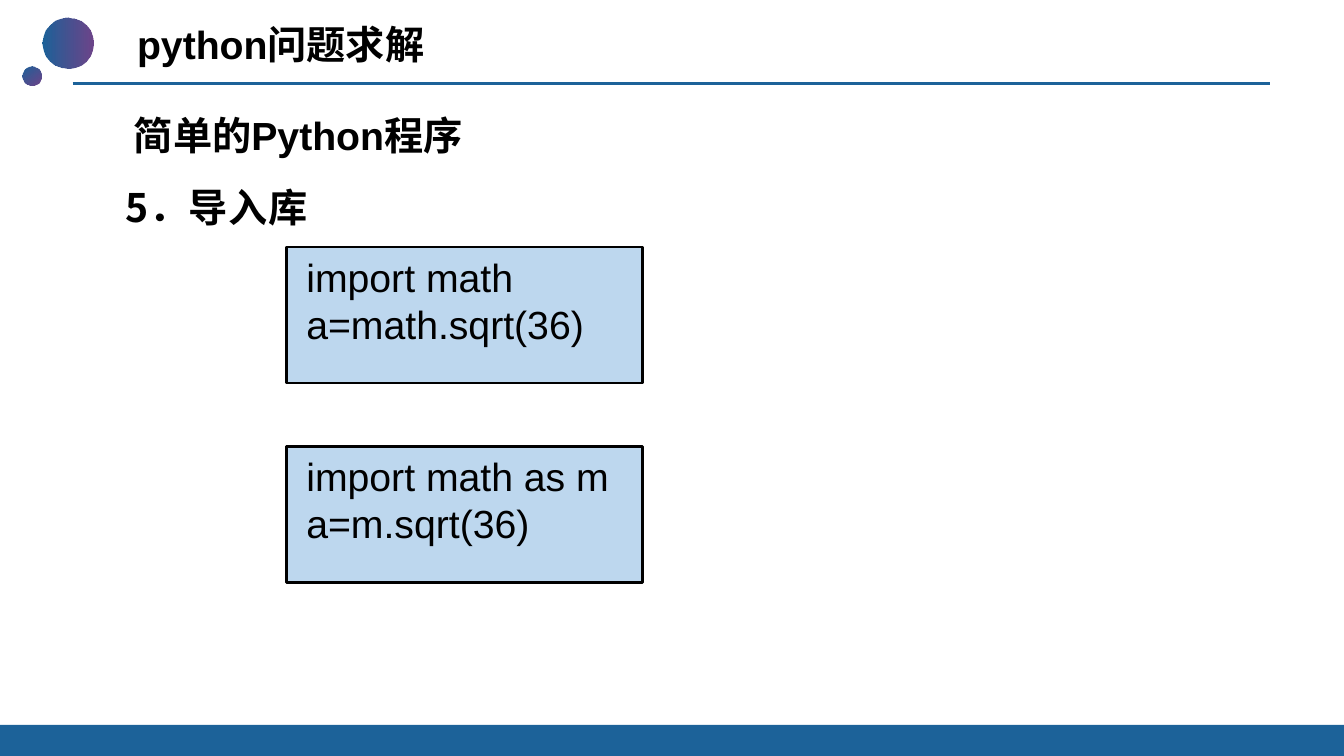
from lxml import etree
from pptx import Presentation
from pptx.dml.color import RGBColor
from pptx.enum.shapes import MSO_CONNECTOR, MSO_SHAPE
from pptx.enum.text import MSO_ANCHOR, PP_ALIGN
from pptx.oxml.ns import qn
from pptx.util import Inches, Pt

STRAIGHT = MSO_CONNECTOR.STRAIGHT
OVAL, RECTANGLE = MSO_SHAPE.OVAL, MSO_SHAPE.RECTANGLE
TOP, BOTTOM = MSO_ANCHOR.TOP, MSO_ANCHOR.BOTTOM
LEFT = PP_ALIGN.LEFT

SLIDE_W, SLIDE_H = 13.33, 7.5
LATIN, CHINESE = "Arial", "Noto Sans CJK SC"
TEXT_SIZE = 28
COLORS = {"blue": "1C6299", "purple": "5C307D", "pale": "BDD7EE", "black": "000000"}

# Code panels: one column, evenly spaced rows
PANEL_LEFT, PANEL_TOP, PANEL_PITCH = 2.84, 2.45, 1.98
PANEL_W, PANEL_H = 3.53, 1.35
SNIPPETS = [
    ["import math", "a=math.sqrt(36)"],
    ["import math as m", "a=m.sqrt(36)"],
]


def color(name):
    return RGBColor.from_string(COLORS[name])


def box(*lengths):
    return [Inches(length) for length in lengths]


def add_block(shapes, kind, place, fill=None, outline=None):
    block = shapes.add_shape(kind, *box(*place))
    block.shadow.inherit = False
    if fill:
        block.fill.solid()
        block.fill.fore_color.rgb = color(fill)
    if outline:
        block.line.color.rgb = color(outline)
        block.line.width = Pt(2)
    else:
        block.line.fill.background()
    return block


def add_bubble(shapes, left, top, size, angle):
    bubble = add_block(shapes, OVAL, (left, top, size, size))
    bubble.fill.gradient()
    bubble.fill.gradient_angle = (360 - angle) % 360
    start, end = bubble.fill.gradient_stops
    start.color.rgb, end.color.rgb = color("blue"), color("purple")
    start.position, end.position = 0, 1
    # Slightly transparent purple end
    for purple in bubble._element.spPr.findall(".//" + qn("a:srgbClr"))[-1:]:
        etree.SubElement(purple, qn("a:alpha"), val="90000")


def add_text(shapes, place, lines, latin=LATIN, bold=False, spacing=1.0,
             indent=0.0, inset=0.1, anchor=TOP, tracking=None):
    frame = shapes.add_textbox(*box(*place)).text_frame
    frame.word_wrap = True
    frame.vertical_anchor = anchor
    frame.margin_left = Inches(inset)
    frame.text = "\n".join(lines)
    for paragraph in frame.paragraphs:
        paragraph.alignment = LEFT
        paragraph.line_spacing = spacing
        paragraph._p.get_or_add_pPr().set("marL", str(Inches(indent)))
        for run in paragraph.runs:
            run.font.name = latin
            run.font.size = Pt(TEXT_SIZE)
            run.font.bold = bold
            run.font.color.rgb = color("black")
            properties = run._r.get_or_add_rPr()
            etree.SubElement(properties, qn("a:ea"), typeface=CHINESE)
            if tracking:
                properties.set("spc", str(tracking))


def add_rule(shapes, left, right, y):
    rule = shapes.add_connector(STRAIGHT, *box(left, y, right, y))
    rule.line.color.rgb = color("blue")
    rule.line.width = Pt(1.75)
    etree.SubElement(rule._element.spPr, qn("a:effectLst"))


def add_code_panel(shapes, row, lines):
    top = PANEL_TOP + row * PANEL_PITCH
    panel = shapes.add_group_shape().shapes
    add_block(panel, RECTANGLE, (PANEL_LEFT, top, PANEL_W, PANEL_H), "pale", "black")
    add_text(panel, (PANEL_LEFT, top + 0.01, 3.42, 1.04), lines, indent=0.1)


def main():
    deck = Presentation()
    deck.slide_width, deck.slide_height = box(SLIDE_W, SLIDE_H)
    shapes = deck.slides.add_slide(deck.slide_layouts[6]).shapes

    # Header with bubbles, and footer band
    add_rule(shapes, 0.72, 12.6, 0.83)
    add_text(shapes, (1.15, 0.11, 6.92, 0.61), ["python问题求解"], bold=True,
             spacing=0.9, indent=0.21, inset=0, anchor=BOTTOM)
    bubbles = shapes.add_group_shape().shapes
    add_bubble(bubbles, 0.42, 0.17, 0.51, 0)
    add_bubble(bubbles, 0.22, 0.66, 0.19, 50)
    add_block(shapes, RECTANGLE, (0, 7.19, SLIDE_W, SLIDE_H - 7.19), "blue")

    # Section headings
    add_text(shapes, (1.05, 0.82, 11.78, 0.81), ["简单的Python程序"], bold=True,
             spacing=1.5, indent=0.18)
    add_text(shapes, (1.15, 1.54, 11.78, 0.72), ["5．导入库"], latin=CHINESE,
             bold=True, spacing=1.5, tracking=30)

    # Code examples
    for row, lines in enumerate(SNIPPETS):
        add_code_panel(shapes, row, lines)

    deck.save("out.pptx")


if __name__ == "__main__":
    main()
